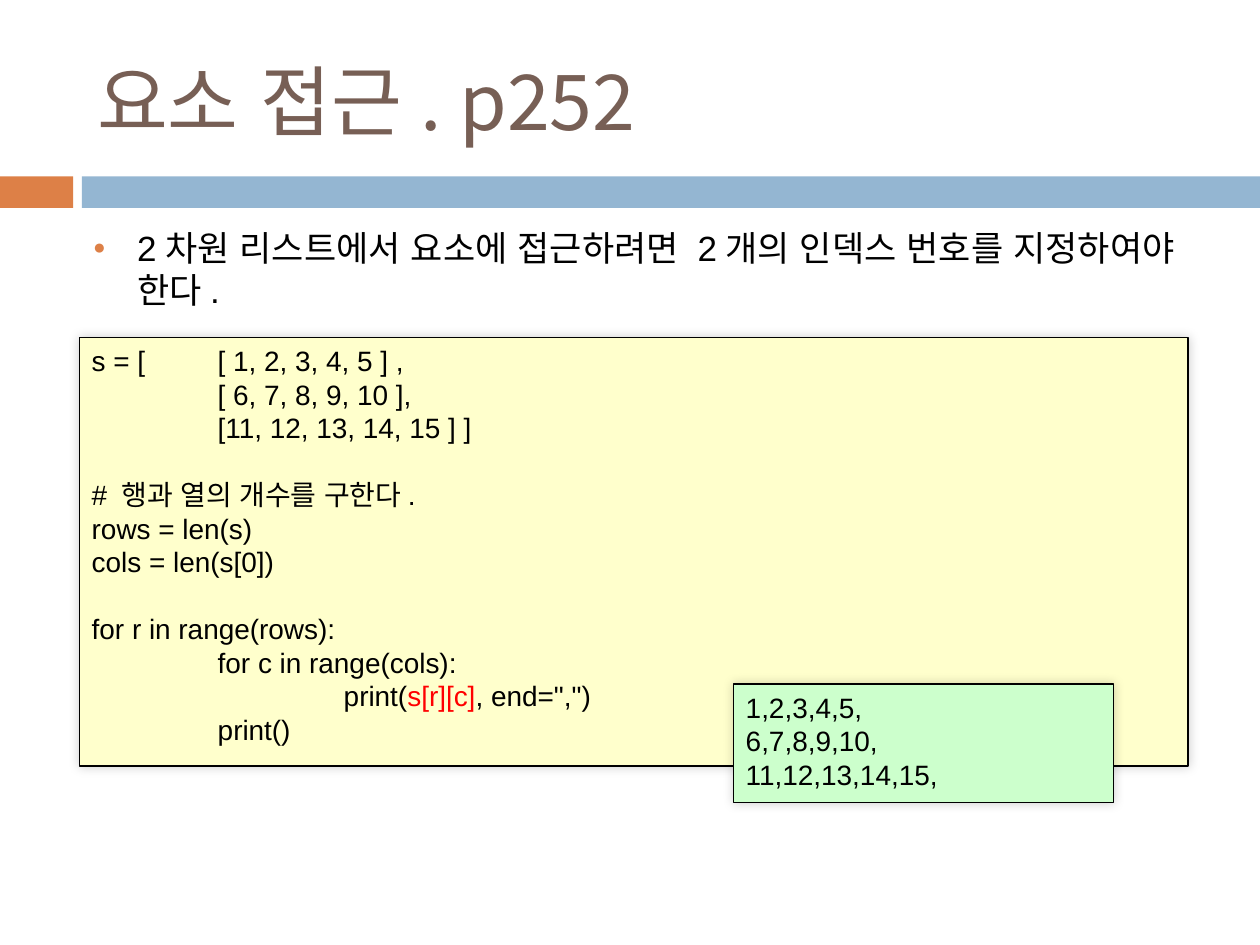
from pptx import Presentation
from pptx.dml.color import RGBColor
from pptx.enum.shapes import MSO_SHAPE as SHAPE
from pptx.enum.text import MSO_ANCHOR as ANCHOR, PP_ALIGN as ALIGN
from pptx.oxml import parse_xml
from pptx.oxml.ns import nsdecls, qn
from pptx.util import Inches, Pt
from lxml.etree import SubElement

LINE = Pt(19.15)
HIGHLIGHT = "s[r][c]"
CODE = '''s = [ \t[ 1, 2, 3, 4, 5 ] ,
\t[ 6, 7, 8, 9, 10 ],
\t[11, 12, 13, 14, 15 ] ]

# 행과 열의 개수를 구한다.
rows = len(s)
cols = len(s[0])

for r in range(rows):
\tfor c in range(cols):
\t\tprint(s[r][c], end=",")
\tprint()'''
OUTPUT = "1,2,3,4,5,\n6,7,8,9,10,\n11,12,13,14,15,"


def rgb(color):
    return RGBColor.from_string(color)


def style_run(r, size, font="Arial", color="000000"):
    r.font.size = Pt(size)
    r.font.name = font
    r.font.color.rgb = rgb(color)
    SubElement(r._r.get_or_add_rPr(), qn("a:ea"), typeface="Arial")


def add_rect(s, x, y, w, h, fill):
    sp = s.shapes.add_shape(SHAPE.RECTANGLE, Inches(x), Inches(y), Inches(w), Inches(h))
    sp.shadow.inherit = False
    sp.fill.solid()
    sp.fill.fore_color.rgb = rgb(fill)
    sp.line.fill.background()
    return sp


def add_shadow(sp):
    effects = sp._element.spPr.find(qn("a:effectLst"))
    effects.append(parse_xml(
        f'<a:outerShdw {nsdecls("a")} blurRad="{Pt(6)}" dist="0" dir="18900000">'
        '<a:srgbClr val="000000"><a:alpha val="20000"/></a:srgbClr></a:outerShdw>'))


def add_line(p, line):
    before, mark, after = line.partition(HIGHLIGHT)
    for text, color in ((before, "000000"), (mark, "FF0000"), (after, "000000")):
        if text:
            r = p.add_run()
            r.text = text
            style_run(r, 16, color=color)


def add_listing(s, x, y, w, h, fill, text):
    sp = add_rect(s, x, y, w, h, fill)
    sp.line.color.rgb = rgb("000000")
    sp.line.width = Pt(0.75)
    add_shadow(sp)
    tf = sp.text_frame
    tf.word_wrap = True
    tf.vertical_anchor = ANCHOR.TOP
    p = None
    for block in text.split("\n\n"):
        for i, line in enumerate(block.split("\n")):
            first = p is None
            p = tf.paragraphs[0] if first else tf.add_paragraph()
            p.alignment = ALIGN.LEFT
            p.line_spacing = LINE
            p._p.get_or_add_pPr().set("defTabSz", str(Inches(1)))
            if i == 0 and not first:
                p.space_before = LINE
            add_line(p, line)


def set_title(s, text):
    title = s.shapes.title
    title.left, title.top = Inches(0.67), Inches(0.25)
    title.width, title.height = Inches(8.92), Inches(1.08)
    tf = title.text_frame
    tf.text = text
    tf.vertical_anchor = ANCHOR.MIDDLE
    p = tf.paragraphs[0]
    p.alignment = ALIGN.LEFT
    style_run(p.runs[0], 44, "Noto Sans CJK KR", "775F55")


def add_bullet(s, text):
    sp = s.shapes.add_textbox(Inches(0.64), Inches(1.75), Inches(8.92), Inches(4.92))
    tf = sp.text_frame
    tf.word_wrap = True
    tf.text = text
    p = tf.paragraphs[0]
    p.line_spacing = Pt(24)
    style_run(p.runs[0], 20)
    pPr = p._p.get_or_add_pPr()
    pPr.set("marL", str(Inches(0.35)))
    pPr.set("indent", str(Inches(-0.35)))
    color = SubElement(pPr, qn("a:buClr"))
    SubElement(color, qn("a:srgbClr"), val="DD8047")
    SubElement(pPr, qn("a:buSzPct"), val="60000")
    SubElement(pPr, qn("a:buFont"), typeface="Arial")
    SubElement(pPr, qn("a:buChar"), char="●")


def main():
    prs = Presentation()
    prs.slide_width, prs.slide_height = Inches(10), Inches(7.5)
    s = prs.slides.add_slide(prs.slide_layouts[5])
    add_rect(s, 0, 1.4, 0.58, 0.25, "DD8047")
    add_rect(s, 0.65, 1.4, 9.35, 0.25, "94B6D2")
    set_title(s, "요소 접근. p252")
    add_listing(s, 0.63, 2.68, 8.8, 3.4, "FFFFCC", CODE)
    add_listing(s, 5.82, 5.43, 3.02, 0.94, "CCFFCC", OUTPUT)
    add_bullet(s, "2차원 리스트에서 요소에 접근하려면 2개의 인덱스 번호를 지정하여야 한다.")
    prs.save("out.pptx")


if __name__ == "__main__":
    main()
